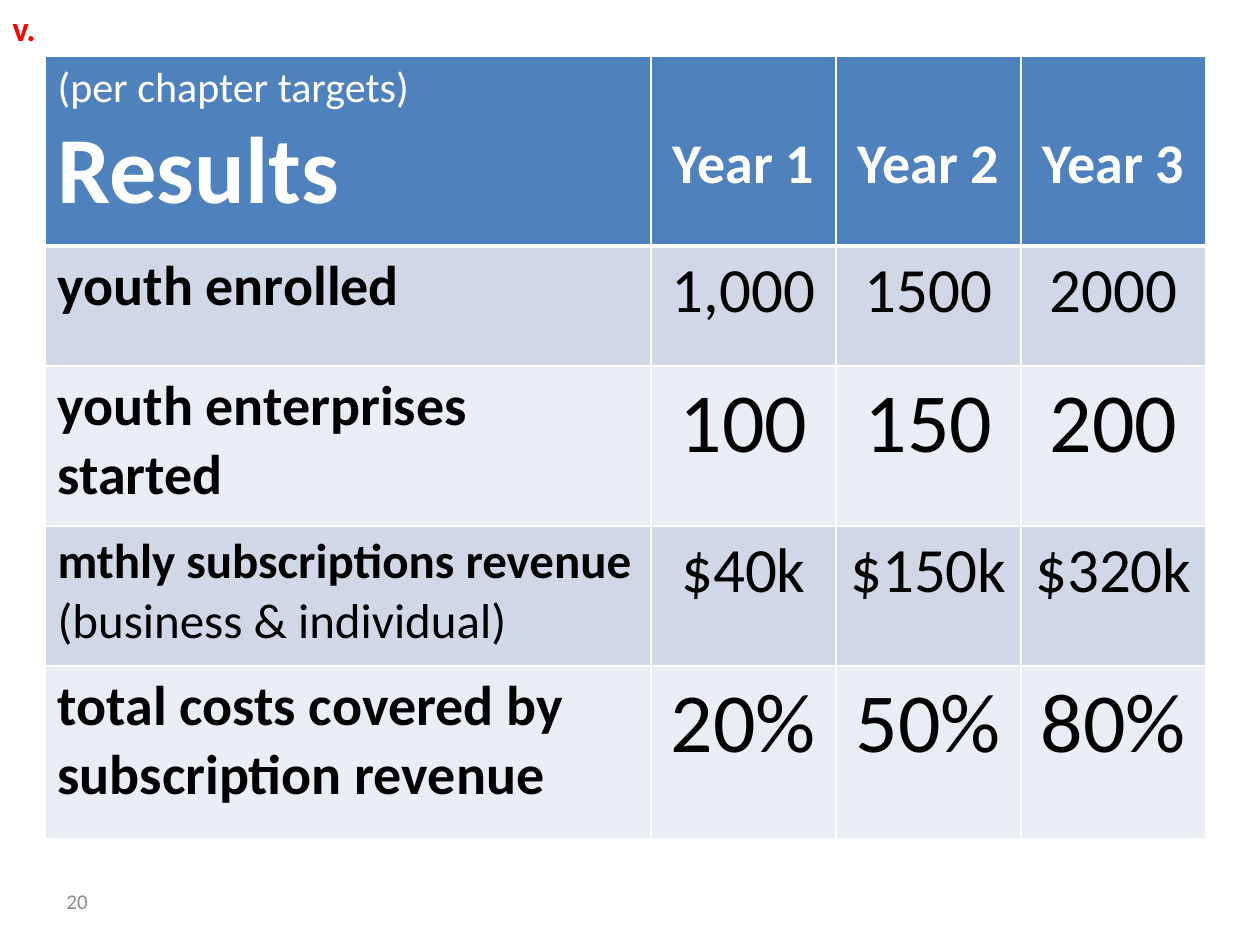
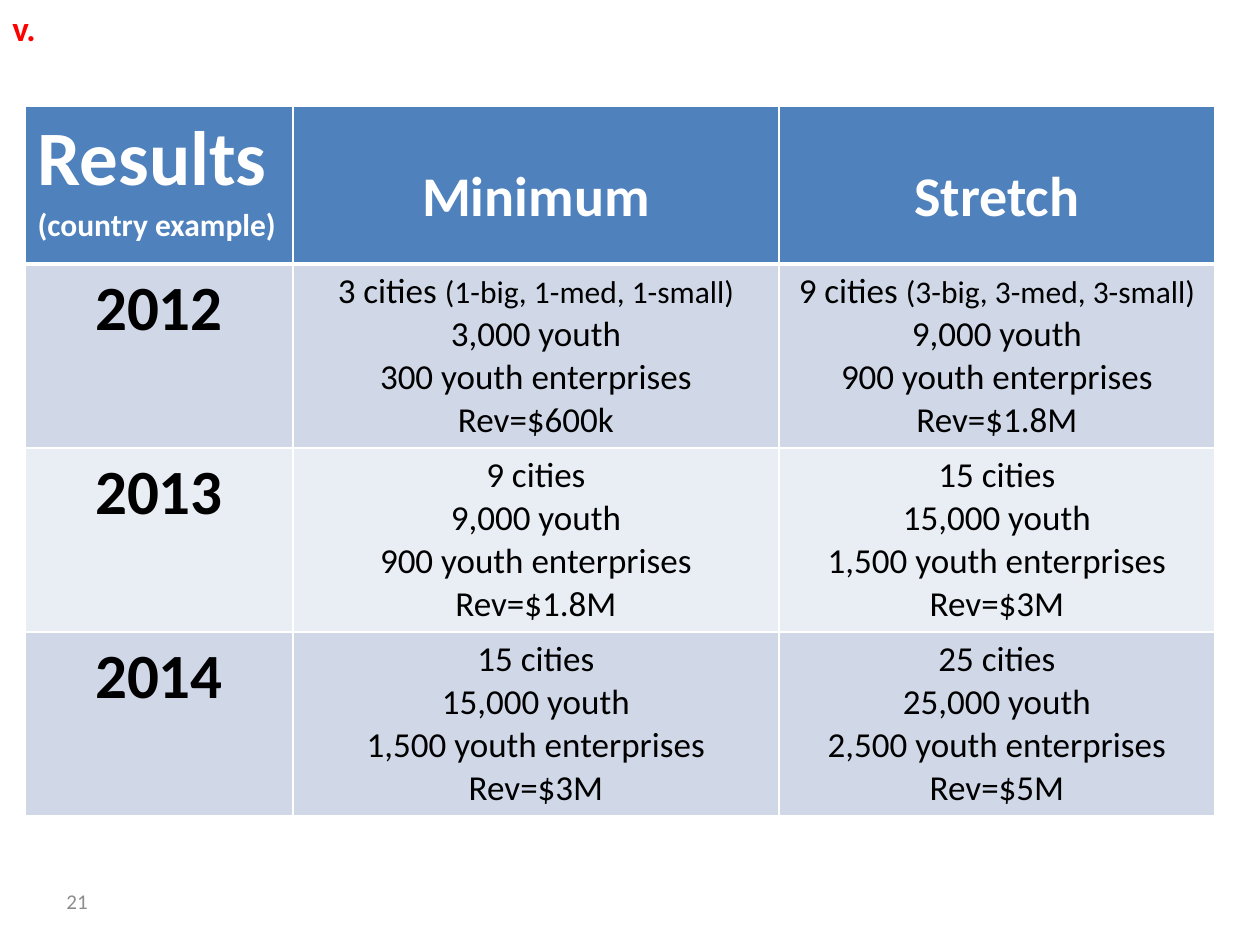
from lxml import etree
from pptx import Presentation
from pptx.dml.color import RGBColor
from pptx.enum.text import MSO_ANCHOR, PP_ALIGN
from pptx.oxml.ns import qn
from pptx.util import Emu, Pt

LEFT = PP_ALIGN.LEFT
CENTER = PP_ALIGN.CENTER
MIDDLE = MSO_ANCHOR.MIDDLE
TOP = MSO_ANCHOR.TOP
FONT = "Calibri"
WHITE = "FFFFFF"
BLACK = "000000"
RED = "FF0000"
GRAY = "8C8C8C"
HEADER_FILL = "4F81BD"
BAND_FILLS = ["D0D8E8", "E9EDF4"]
THIN = 1
THICK = 3


def px(length):
    return Emu(round(length * 914400 / 126))


def color(hex_value):
    return RGBColor.from_string(hex_value)


def write_lines(text_frame, lines, hex_color, alignment):
    for index, line in enumerate(lines):
        paragraph = text_frame.paragraphs[0] if index == 0 else text_frame.add_paragraph()
        paragraph.alignment = alignment
        for text, size, bold in line:
            run = paragraph.add_run()
            run.text = text
            run.font.name = FONT
            run.font.size = Pt(size)
            run.font.bold = bold
            run.font.color.rgb = color(hex_color)


def add_label(slide, box, text, size, bold, hex_color, anchor):
    shape = slide.shapes.add_textbox(*[px(length) for length in box])
    text_frame = shape.text_frame
    text_frame.word_wrap = True
    text_frame.vertical_anchor = anchor
    write_lines(text_frame, [[(text, size, bold)]], hex_color, LEFT)


def set_borders(cell, top, bottom):
    properties = cell._tc.get_or_add_tcPr()
    widths = {"a:lnL": THIN, "a:lnR": THIN, "a:lnT": top, "a:lnB": bottom}
    for index, (tag, width) in enumerate(widths.items()):
        border = etree.Element(qn(tag), w=str(Pt(width)))
        fill = etree.SubElement(border, qn("a:solidFill"))
        etree.SubElement(fill, qn("a:srgbClr"), val=WHITE)
        properties.insert(index, border)


def style_cell(cell, row_index):
    is_header = row_index == 0
    cell.fill.solid()
    cell.fill.fore_color.rgb = color(HEADER_FILL if is_header else BAND_FILLS[(row_index - 1) % 2])
    set_borders(cell, THICK if row_index == 1 else THIN, THICK if is_header else THIN)


def add_results_table(slide, left, top, column_widths, row_heights, rows, header_margin, label_alignment):
    frame = slide.shapes.add_table(
        len(rows), len(column_widths), px(left), px(top),
        px(sum(column_widths)), px(sum(row_heights)))
    table = frame.table
    for column, width in zip(table.columns, column_widths):
        column.width = px(width)
    for row_index, (height, contents) in enumerate(zip(row_heights, rows)):
        table.rows[row_index].height = px(height)
        for column_index, lines in enumerate(contents):
            cell = table.cell(row_index, column_index)
            style_cell(cell, row_index)
            is_header = row_index == 0
            alignment = CENTER
            if column_index == 0:
                alignment = LEFT if is_header else label_alignment
            elif is_header:
                cell.margin_top = px(header_margin)
            write_lines(cell.text_frame, lines, WHITE if is_header else BLACK, alignment)


def plain_cells(texts, size, bold=False):
    return [[[(text, size, bold)]] for text in texts]


def goal_cell(cities, youth, enterprises, revenue, city_mix=""):
    lines = [
        [(f"{cities} cities", 20, False)],
        [(f"{youth} youth", 20, False)],
        [(f"{enterprises} youth enterprises", 20, False)],
        [(f"Rev={revenue}", 20, False)],
    ]
    if city_mix:
        lines[0] = [(f"{cities} cities ", 20, False), (city_mix, 18, False)]
    return lines


def add_results_slide(presentation, number):
    slide = presentation.slides.add_slide(presentation.slide_layouts[6])
    add_label(slide, (54, 876, 294, 50), str(number), 12, False, GRAY, MIDDLE)
    add_label(slide, (0, 0, 64, 55), "v.", 20, True, RED, TOP)
    return slide


def add_chapter_targets(presentation):
    slide = add_results_slide(presentation, 20)
    rows = [
        [[[("(per chapter targets)", 24, False)], [("Results", 54, True)]]]
        + plain_cells(["Year 1", "Year 2", "Year 3"], 32, True),
        [[[("youth enrolled", 32, True)]]]
        + plain_cells(["1,000", "1500", "2000"], 36),
        [[[("youth enterprises started", 32, True)]]]
        + plain_cells(["100", "150", "200"], 48),
        [[[("mthly subscriptions revenue", 28, True)], [("(business & individual)", 28, False)]]]
        + plain_cells(["$40k", "$150k", "$320k"], 36),
        [[[("total costs covered by", 32, True)], [("subscription revenue", 32, True)]]]
        + plain_cells(["20%", "50%", "80%"], 48),
    ]
    add_results_table(slide, 45, 56, [606] + [185] * 3, [190, 120, 160, 140, 173], rows, 74, LEFT)


def add_country_example(presentation):
    slide = add_results_slide(presentation, 21)
    goals = {
        "2012": [
            goal_cell("3", "3,000", "300", "$600k", "(1-big, 1-med, 1-small)"),
            goal_cell("9", "9,000", "900", "$1.8M", "(3-big, 3-med, 3-small)"),
        ],
        "2013": [
            goal_cell("9", "9,000", "900", "$1.8M"),
            goal_cell("15", "15,000", "1,500", "$3M"),
        ],
        "2014": [
            goal_cell("15", "15,000", "1,500", "$3M"),
            goal_cell("25", "25,000", "2,500", "$5M"),
        ],
    }
    rows = [
        [[[("Results", 44, True)], [("(country example)", 18, True)]]]
        + plain_cells(["Minimum", "Stretch"], 32, True)
    ]
    rows += [plain_cells([year], 36, True) + cells for year, cells in goals.items()]
    add_results_table(slide, 25, 106, [268, 486, 436], [158] + [184] * 3, rows, 57, CENTER)


def main():
    presentation = Presentation()
    presentation.slide_width = px(1260)
    presentation.slide_height = px(945)
    add_chapter_targets(presentation)
    add_country_example(presentation)
    presentation.save("out.pptx")


if __name__ == "__main__":
    main()
